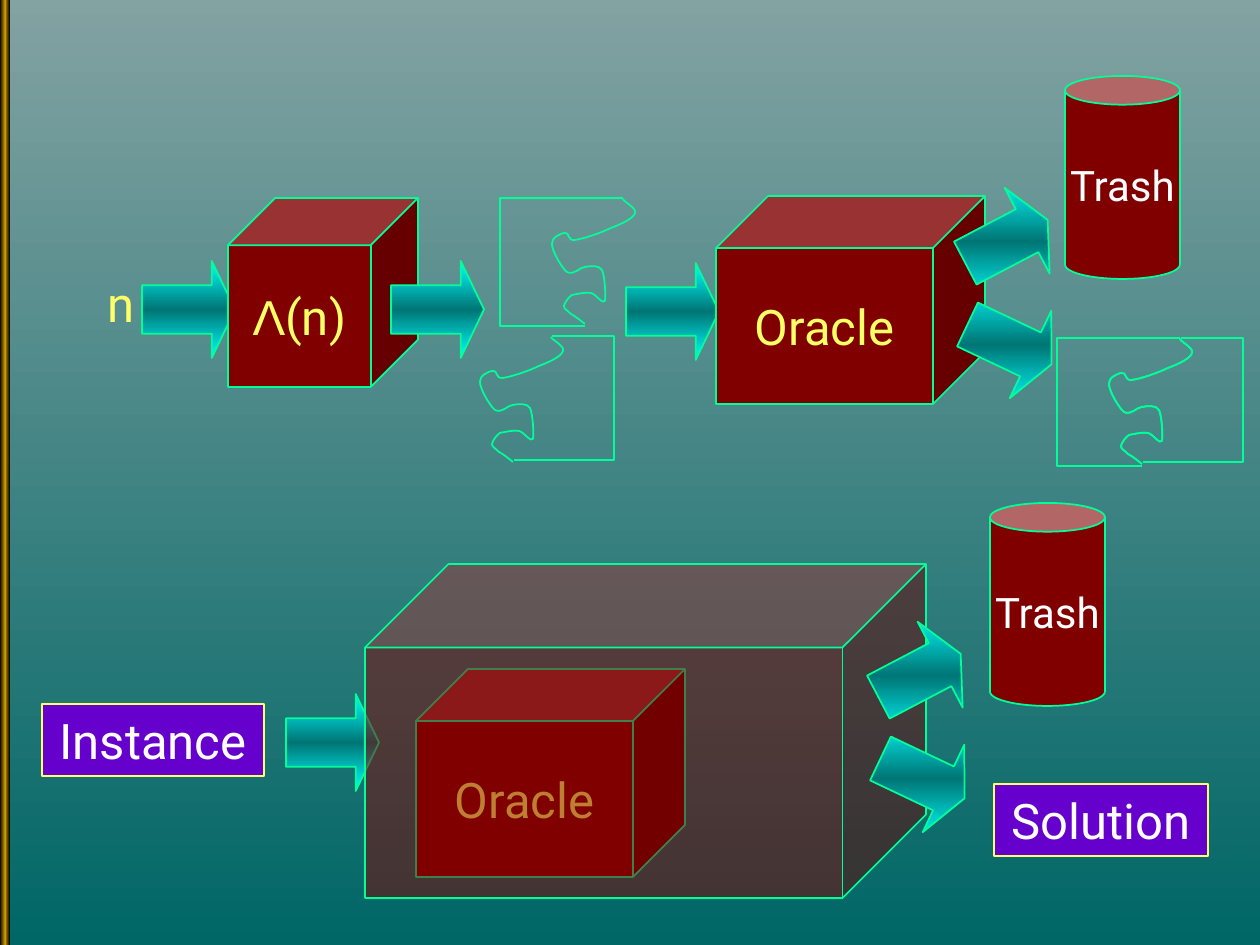
from copy import deepcopy
from lxml import etree
from pptx import Presentation
from pptx.dml.color import RGBColor
from pptx.enum.shapes import MSO_SHAPE
from pptx.enum.text import MSO_ANCHOR, PP_ALIGN
from pptx.oxml.ns import qn
from pptx.util import Pt

RECT, CUBE, CAN = MSO_SHAPE.RECTANGLE, MSO_SHAPE.CUBE, MSO_SHAPE.CAN
ARROW = MSO_SHAPE.RIGHT_ARROW
MIDDLE, CENTER = MSO_ANCHOR.MIDDLE, PP_ALIGN.CENTER
SCALE = 914400 / 126
FONT = "Roboto"
COLORS = {
    "sky": "83A2A2", "sea": "006666", "black": "000000", "gold": "CC9900",
    "cyan": "00FFFF", "teal": "007575", "mint": "00FF99", "red": "800000",
    "violet": "6600CC", "yellow": "FFFF67", "white": "FFFFFF",
}
WAVE = [
    (72, 0), (73, 3), (86, 9), (84, 14), (83, 19), (71, 25), (60, 29),
    (50, 34), (32, 40), (24, 41), (16, 42), (19, 33), (14, 34),
    (10, 34), (0, 39), (1, 45), (1, 52), (11, 69), (16, 73),
    (23, 77), (29, 68), (34, 68), (40, 67), (48, 66), (51, 71),
    (54, 77), (55, 97), (54, 102), (52, 106), (45, 95), (40, 94),
    (35, 93), (26, 95), (21, 96), (18, 98), (14, 103), (13, 107),
    (13, 110), (16, 111), (20, 115), (24, 117), (29, 121), (34, 125),
]
LEFT = [(72, -1), (-51, -1), (-51, 127), (34, 127)]
RIGHT = [(73, -1), (135, -1), (135, 123), (35, 123)]


def px(n):
    """Turn px into EMU."""
    return round(n * SCALE)


def rgb(name):
    """Look up a colour by name."""
    return RGBColor.from_string(COLORS[name])


def blend(fill, names, angle):
    """Fill with evenly spaced gradient stops."""
    fill.gradient()
    fill.gradient_angle = angle
    stops = fill.gradient_stops
    if len(names) == 3:
        first = stops[0]._gs
        first.addnext(deepcopy(first))
        stops = fill.gradient_stops
    for i, (stop, name) in enumerate(zip(stops, names)):
        stop.position = i / (len(names) - 1)
        stop.color.rgb = rgb(name)


def shape(slide, kind, box, fill=None, line="mint"):
    """Add a preset shape in a px box."""
    item = slide.shapes.add_shape(kind, *map(px, box))
    item.shadow.inherit = False
    if fill:
        item.fill.solid()
        item.fill.fore_color.rgb = rgb(fill)
    if line:
        item.line.color.rgb = rgb(line)
        item.line.width = Pt(1)
    else:
        item.line.fill.background()
    return item


def label(item, parts, color="yellow", size=28):
    """Write centred runs given as (text, font) pairs."""
    frame = item.text_frame
    frame.word_wrap = False
    frame.vertical_anchor = MIDDLE
    para = frame.paragraphs[0]
    para.alignment = CENTER
    for text, font in parts:
        run = para.add_run()
        run.text = text
        run.font.name = font
        run.font.size = Pt(size)
        run.font.color.rgb = rgb(color)


def arrow(slide, x, y, turn=0):
    """Add a block arrow."""
    item = shape(slide, ARROW, (x, y, 93, 97))
    item.adjustments[1] = 0.25
    blend(item.fill, ["cyan", "teal", "cyan"], 270)
    item._element.spPr.find(qn("a:gradFill")).set("rotWithShape", "0")
    item.rotation = turn


def fork(slide, x, y):
    """Add the two arrows that leave a box."""
    arrow(slide, x + 3, y + 103, 25.4)
    arrow(slide, x, y, 332.3)


def trash(slide, x, y):
    """Add a trash can."""
    can = shape(slide, CAN, (x, y, 115, 203), "red")
    label(can, [("Trash", FONT)], "white", 24)


def cube(slide, box, parts):
    """Add a labelled cube."""
    label(shape(slide, CUBE, box, "red"), parts)


def tag(slide, box, text):
    """Add a violet tag."""
    label(shape(slide, RECT, box, "violet", "yellow"), [(text, FONT)], "white")


def trace(slide, x, y, points, curved=False):
    """Draw an open outline, straight or in cubic curves."""
    spots = [(px(x + a), px(y + b)) for a, b in points]
    pen = slide.shapes.build_freeform(*spots[0])
    pen.add_line_segments(spots[1:], close=False)
    item = pen.convert_to_shape()
    item.shadow.inherit = False
    item.fill.background()
    item.line.color.rgb = rgb("mint")
    item.line.width = Pt(1)
    if curved:
        way = item._element.spPr.find(".//" + qn("a:path"))
        steps = way.findall(qn("a:lnTo"))
        for i in range(0, len(steps), 3):
            curve = etree.SubElement(way, qn("a:cubicBezTo"))
            for step in steps[i:i + 3]:
                curve.append(step[0])
                way.remove(step)


def piece(slide, x, y, edge):
    """Draw a torn piece: straight edge and wavy side."""
    trace(slide, x, y, edge)
    trace(slide, x, y, WAVE, True)


def maker(slide, x, y):
    """Place the generator and its two pieces."""
    arrow(slide, x + 33, y + 63)
    cube(slide, (x + 119, y, 190, 189), [("Λ", "Arial"), ("(n)", FONT)])
    note = slide.shapes.add_textbox(px(x - 21), px(y + 73), px(67), px(64))
    label(note, [("n", FONT)])
    arrow(slide, x + 282, y + 63)
    piece(slide, x + 442, y + 1, LEFT)
    piece(slide, x + 370, y + 139, RIGHT)


def solver(slide, x, y):
    """Place the oracle with both of its outcomes."""
    arrow(slide, x, y + 67)
    cube(slide, (x + 90, y, 269, 208), [("Oracle", FONT)])
    fork(slide, x + 334, y - 3)
    trash(slide, x + 439, y - 120)
    piece(slide, x + 482, y + 143, LEFT)
    piece(slide, x + 482, y + 143, RIGHT)


def reduction(slide, x, y):
    """Place the oracle inside a larger machine."""
    arrow(slide, x + 244, y + 130)
    tag(slide, (x, y + 140, 222, 72), "Instance")
    cube(slide, (x + 374, y + 105, 269, 208), [("Oracle", FONT)])
    shell = shape(slide, CUBE, (x + 323, y, 561, 334), "red")
    tint = shell._element.spPr.find(qn("a:solidFill"))[0]
    etree.SubElement(tint, qn("a:alpha"), val="50000")
    fork(slide, x + 831, y + 63)
    trash(slide, x + 948, y - 61)
    tag(slide, (x + 952, y + 220, 214, 72), "Solution")


def main():
    """Build and save the slide."""
    deck = Presentation()
    deck.slide_width, deck.slide_height = px(1260), px(945)
    slide = deck.slides.add_slide(deck.slide_layouts[6])
    blend(slide.background.fill, ["sky", "sea"], 270)
    bar = shape(slide, RECT, (0, 0, 10, 945), line=None)
    blend(bar.fill, ["black", "gold", "black"], 0)
    maker(slide, 109, 198)
    solver(slide, 626, 196)
    reduction(slide, 42, 564)
    deck.save("out.pptx")


if __name__ == "__main__":
    main()
